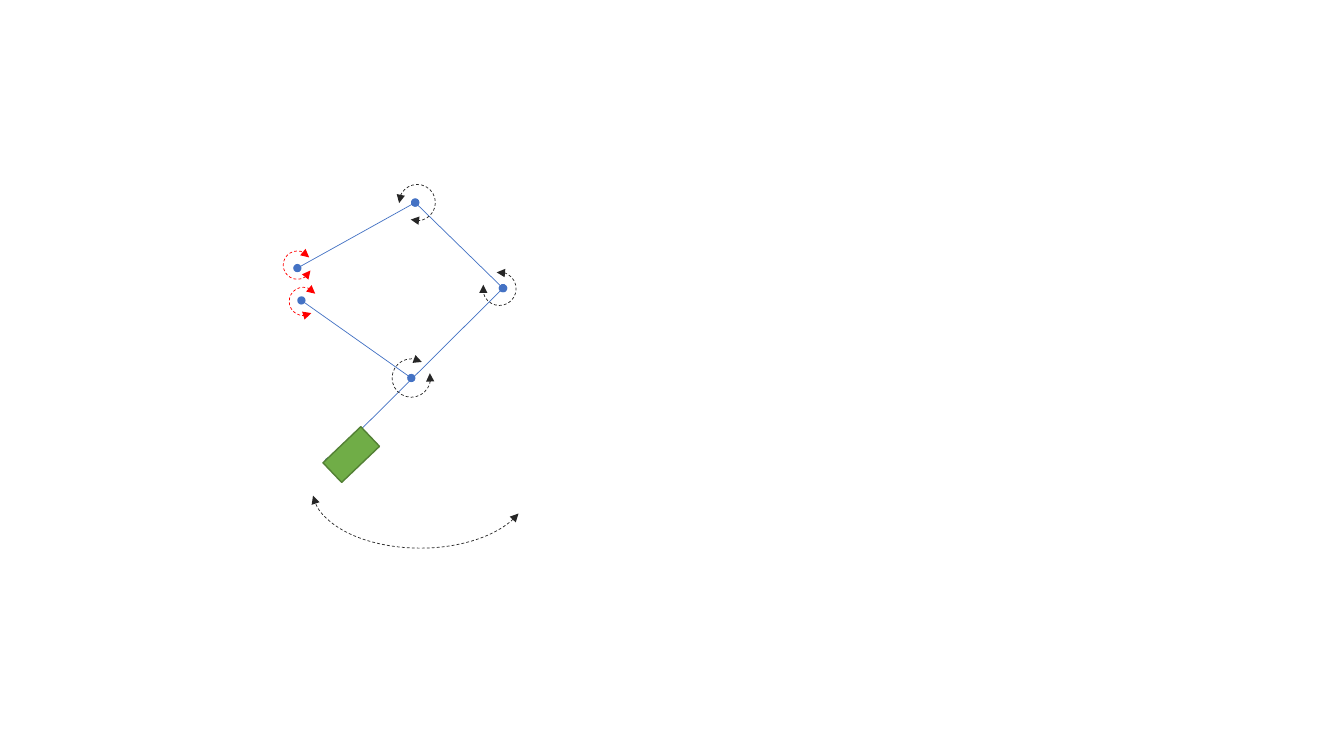
from lxml import etree
from pptx import Presentation
from pptx.dml.color import RGBColor
from pptx.enum import dml, shapes
from pptx.oxml import ns
from pptx.util import Pt

HUES = {"link": "4472C4", "turn": "262626", "grip": "FF0000",
        "base": "70AD47", "edge": "538035"}

# Joints, in points from the corner of the arm's box
JOINTS = {"upper": (12.4, 61.5), "elbow": (96.6, 14.7),
          "bend": (159.3, 75.9), "foot": (34.7, 199.8),
          "lower": (15.3, 84.6), "fork": (93.8, 140)}
LINKS = [("upper", "elbow"), ("lower", "fork"),
         ("elbow", "bend"), ("foot", "bend")]
# Left, top, size, start and end in degrees, hue
TURNS = [(85.1, 1.8, 25.9, 178.5, 111, "turn"),
         (144.9, 64.4, 23.8, 260.3, 194.4, "turn"),
         (80.1, 126.3, 27.4, 345.5, 303.2, "turn"),
         (2.3, 49.3, 20.2, 22.3, 327, "grip"),
         (6.6, 75.2, 20.2, 55.8, 327, "grip")]


def color(hue):
    return RGBColor.from_string(HUES[hue])


def stroke(line, hue, width):
    line.color.rgb = color(hue)
    line.width = Pt(width)


def tips(shape, kind):
    """Put the same end mark on both ends of a shape's line."""
    ln = shape._element.spPr.find(ns.qn("a:ln"))
    for tag in ("a:headEnd", "a:tailEnd"):
        etree.SubElement(ln, ns.qn(tag)).set("type", kind)


def add_link(slide, start, end):
    link = slide.shapes.add_connector(
        shapes.MSO_CONNECTOR.STRAIGHT, *map(Pt, start + end))
    stroke(link.line, "link", 0.5)
    tips(link, "oval")
    etree.SubElement(link._element.spPr, ns.qn("a:effectLst"))


def add_arc(slide, box, start, end, hue):
    arc = slide.shapes.add_shape(shapes.MSO_SHAPE.ARC, *map(Pt, box))
    # An arc's adjustment counts 0.6 for each degree
    arc.adjustments[0] = start * 0.6
    arc.adjustments[1] = end * 0.6
    arc.fill.background()
    stroke(arc.line, hue, 0.5)
    arc.line.dash_style = dml.MSO_LINE.DASH
    tips(arc, "triangle")
    arc.shadow.inherit = False


def add_base(slide, box):
    base = slide.shapes.add_shape(shapes.MSO_SHAPE.RECTANGLE, *map(Pt, box))
    base.rotation = 46.4
    base.fill.solid()
    base.fill.fore_color.rgb = color("base")
    stroke(base.line, "edge", 1)
    base.shadow.inherit = False


def draw_arm(slide, left, top):
    def place(x, y):
        return left + x, top + y

    for start, end in LINKS:
        add_link(slide, place(*JOINTS[start]), place(*JOINTS[end]))
    for x, y, size, start, end, hue in TURNS:
        add_arc(slide, place(x, y) + (size, size), start, end, hue)
    add_base(slide, place(41.2, 176) + (19.4, 37.4))
    add_arc(slide, place(23.2, 177.4) + (154.1, 84.2), 13.9, 176.6, "turn")


def main():
    deck = Presentation()
    deck.slide_width, deck.slide_height = Pt(960), Pt(540)
    slide = deck.slides.add_slide(deck.slide_layouts[6])
    draw_arm(slide, 200, 130)
    deck.save("out.pptx")


if __name__ == "__main__":
    main()
